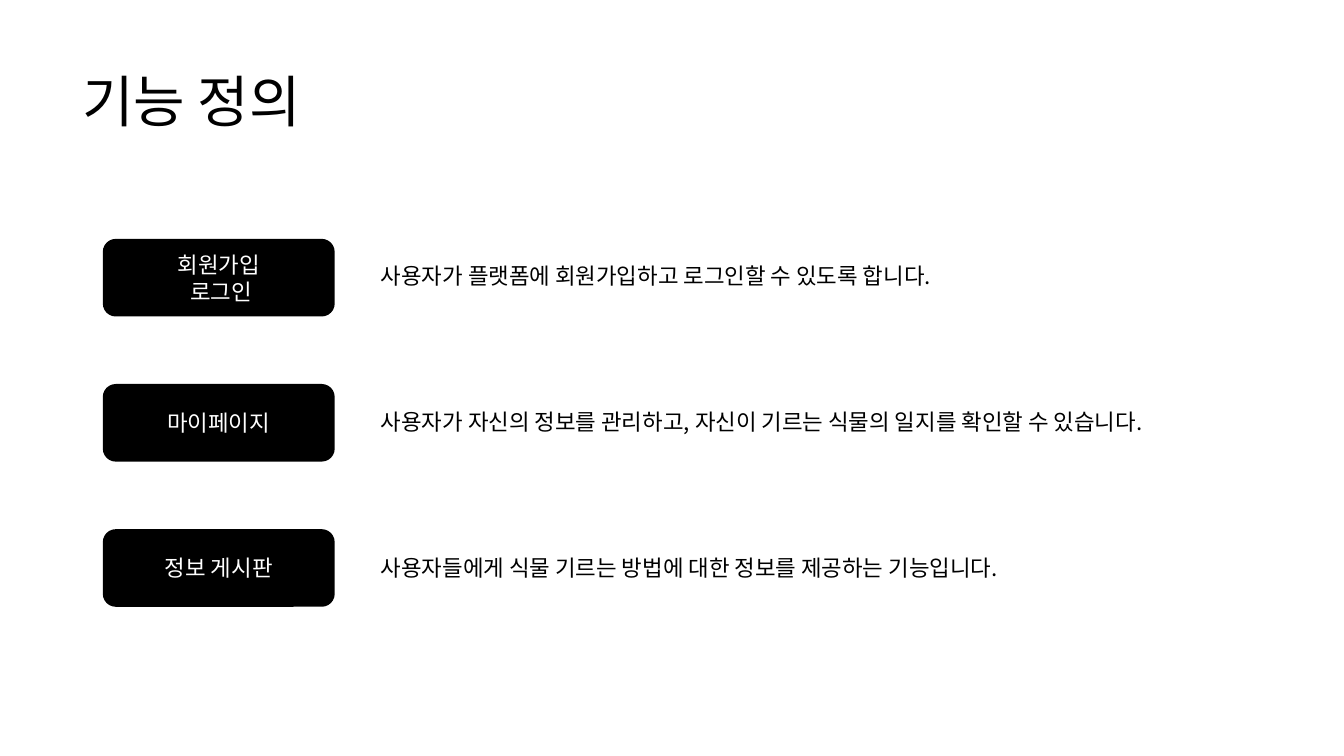
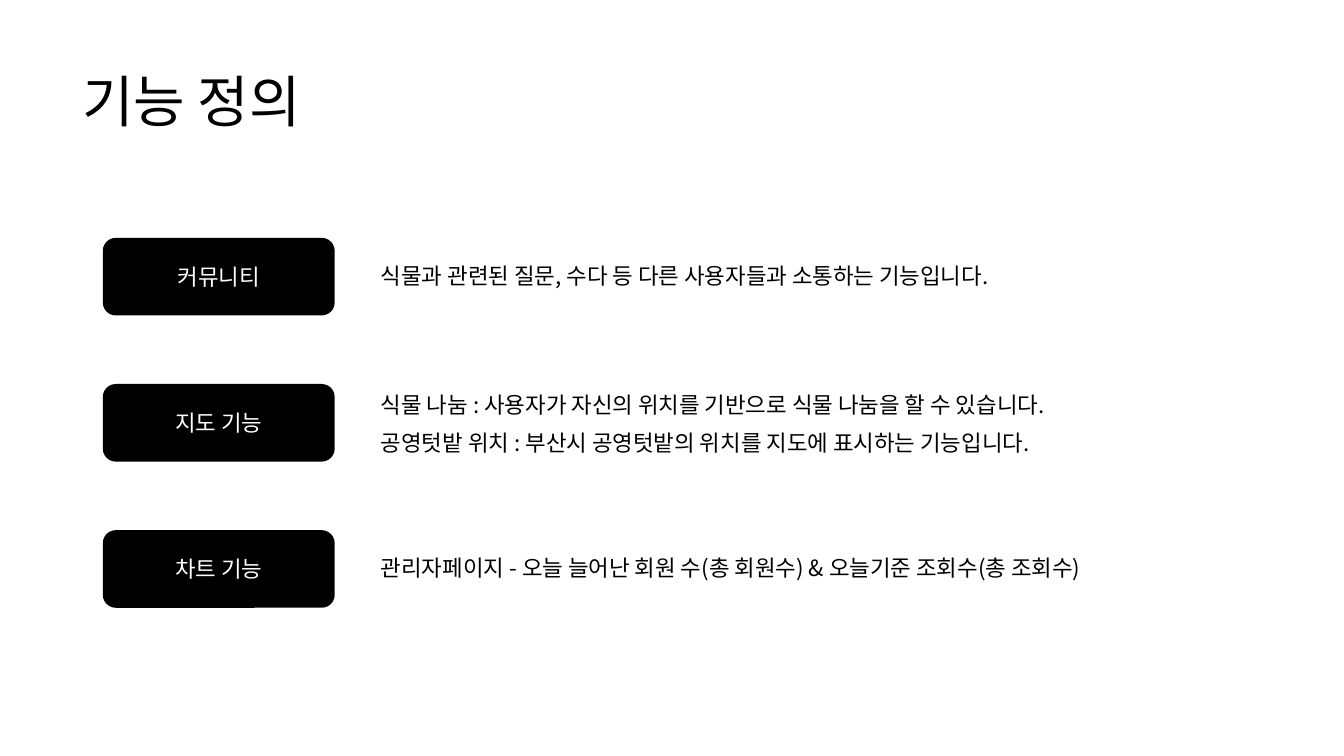
from pptx import Presentation
from pptx.dml.color import RGBColor
from pptx.enum.shapes import MSO_SHAPE
from pptx.enum.text import MSO_ANCHOR, PP_ALIGN
from pptx.oxml.ns import qn
from pptx.util import Inches, Pt

BLACK = RGBColor(0x00, 0x00, 0x00)
WHITE = RGBColor(0xFF, 0xFF, 0xFF)
FONT = "Noto Sans CJK KR"

DESCRIPTION_TOP = 2.55
DESCRIPTION_PITCH = 1.45
LINE_PITCH = 0.38
LINE_RISE = 0.17

SLIDES = [
    {
        "badge_top": 2.37,
        "badge_pitch": 1.44,
        "features": [
            (["회원가입", " 로그인"],
             ["사용자가 플랫폼에 회원가입하고 로그인할 수 있도록 합니다."]),
            (["마이페이지"],
             ["사용자가 자신의 정보를 관리하고, 자신이 기르는 식물의 일지를 확인할 수 있습니다."]),
            (["정보 게시판"],
             ["사용자들에게 식물 기르는 방법에 대한 정보를 제공하는 기능입니다."]),
        ],
    },
    {
        "badge_top": 2.36,
        "badge_pitch": 1.45,
        "features": [
            (["커뮤니티"],
             ["식물과 관련된 질문, 수다 등 다른 사용자들과 소통하는 기능입니다."]),
            (["지도 기능"],
             ["식물 나눔 : 사용자가 자신의 위치를 기반으로 식물 나눔을 할 수 있습니다.",
              "공영텃밭 위치 : 부산시 공영텃밭의 위치를 지도에 표시하는 기능입니다."]),
            (["차트 기능"],
             ["관리자페이지 - 오늘 늘어난 회원 수(총 회원수) & 오늘기준 조회수(총 조회수)"]),
        ],
    },
]


class FeatureDeck:
    """Holds the shared style and the slide being filled."""

    def __init__(self):
        self.presentation = Presentation()
        self.presentation.slide_width = Inches(13.33)
        self.presentation.slide_height = Inches(7.5)
        self.slide = None

    def add_slide(self):
        layout = self.presentation.slide_layouts[6]
        self.slide = self.presentation.slides.add_slide(layout)

    def add_text(self, shape, lines, size, color, align=PP_ALIGN.LEFT, spacing=None):
        frame = shape.text_frame
        frame.word_wrap = True
        for index, line in enumerate(lines):
            paragraph = frame.add_paragraph() if index else frame.paragraphs[0]
            paragraph.alignment = align
            paragraph.line_spacing = spacing
            run = paragraph.add_run()
            run.text = line
            run.font.name = FONT
            run.font.size = Pt(size)
            run.font.color.rgb = color
            properties = run._r.get_or_add_rPr()
            east_asian = properties.makeelement(qn("a:ea"), {"typeface": FONT})
            properties.find(qn("a:latin")).addnext(east_asian)

    def add_title(self, text):
        box = self.slide.shapes.add_textbox(
            Inches(0.72), Inches(0.61), Inches(10.59), Inches(0.86))
        box.text_frame.vertical_anchor = MSO_ANCHOR.MIDDLE
        self.add_text(box, [text], 40, BLACK, spacing=0.9)

    def add_badge(self, lines, top):
        badge = self.slide.shapes.add_shape(
            MSO_SHAPE.ROUNDED_RECTANGLE,
            Inches(1.02), Inches(top), Inches(2.3), Inches(0.77))
        badge.shadow.inherit = False
        badge.fill.solid()
        badge.fill.fore_color.rgb = BLACK
        badge.line.fill.background()
        badge.text_frame.vertical_anchor = MSO_ANCHOR.MIDDLE
        self.add_text(badge, lines, 16, WHITE, PP_ALIGN.CENTER)

    def add_description(self, text, top):
        box = self.slide.shapes.add_textbox(
            Inches(3.68), Inches(top), Inches(8.73), Inches(0.37))
        self.add_text(box, [text], 16, BLACK)


def main():
    deck = FeatureDeck()
    for content in SLIDES:
        deck.add_slide()
        deck.add_title("기능 정의")
        for row, (label, descriptions) in enumerate(content["features"]):
            deck.add_badge(label, content["badge_top"] + row * content["badge_pitch"])
            first_top = (DESCRIPTION_TOP + row * DESCRIPTION_PITCH
                         - LINE_RISE * (len(descriptions) - 1))
            for index, description in enumerate(descriptions):
                deck.add_description(description, first_top + index * LINE_PITCH)
    deck.presentation.save("out.pptx")


if __name__ == "__main__":
    main()
